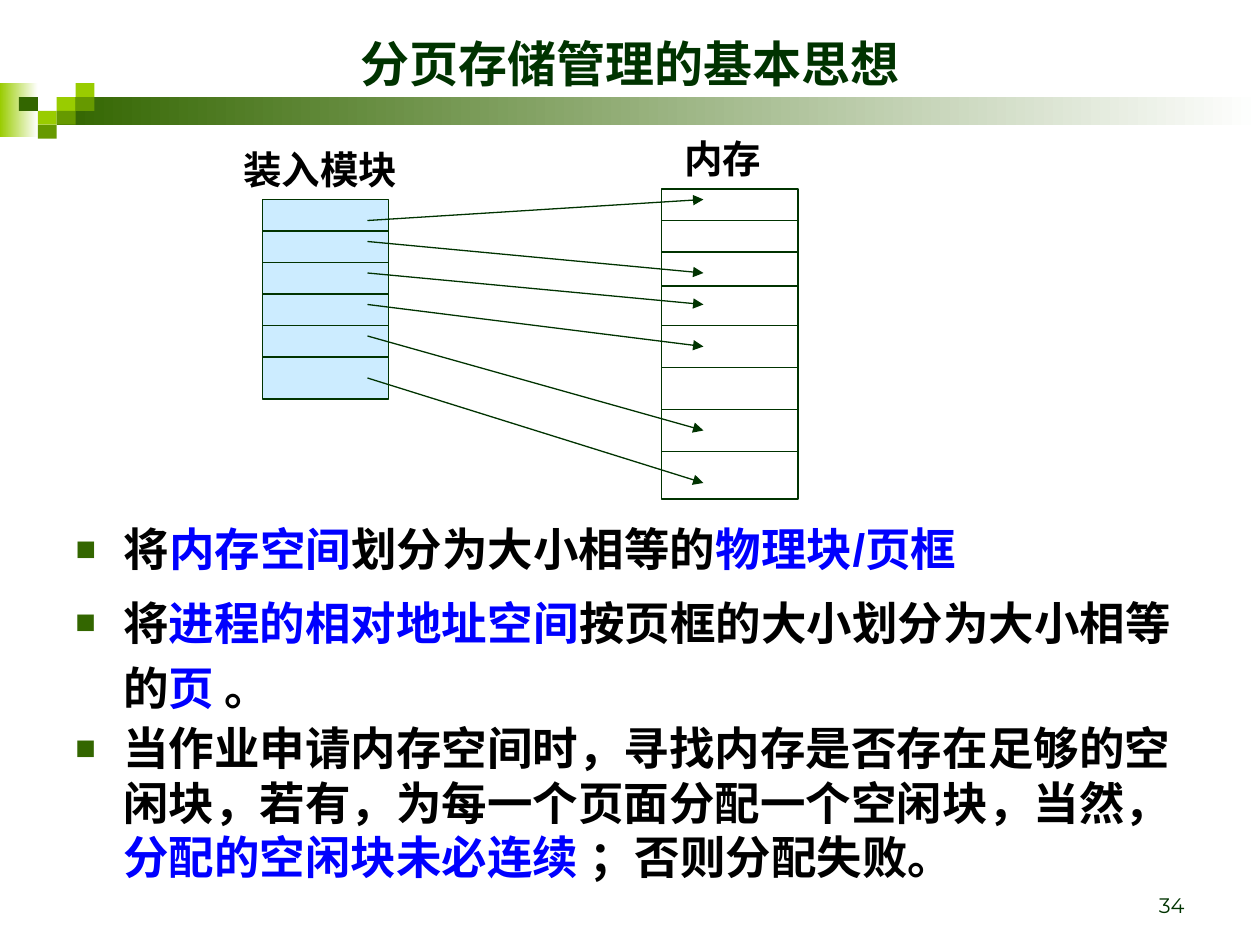
from lxml.etree import SubElement
from pptx import Presentation
from pptx.dml.color import RGBColor
from pptx.enum.shapes import MSO_CONNECTOR, MSO_SHAPE
from pptx.enum.text import MSO_ANCHOR, MSO_AUTO_SIZE, PP_ALIGN
from pptx.oxml.ns import qn
from pptx.util import Inches, Pt

COLORS = {name: RGBColor.from_string(value) for name, value in {
    "ink": "003300", "text": "000000", "key": "0000FF", "page": "CCECFF",
    "dark": "336600", "mid": "669900", "lime": "99CC00", "white": "FFFFFF",
}.items()}

deck = Presentation()
deck.slide_width, deck.slide_height = Inches(10), Inches(7.5)
COLUMN, ROW = deck.slide_width / 120, deck.slide_height / 90
TILE_WIDTH, TILE_HEIGHT, TILE_TOP = Inches(0.15), Inches(0.11), Inches(0.66)
page = deck.slides.add_slide(deck.slide_layouts[1])
title, body = page.placeholders


def area(left, top, width, height):
    return [int(value) for value in (left * COLUMN, top * ROW, width * COLUMN, height * ROW)]


def add_line(start, end, arrow=False):
    line = page.shapes.add_connector(
        MSO_CONNECTOR.STRAIGHT,
        int(start[0] * COLUMN), int(start[1] * ROW), int(end[0] * COLUMN), int(end[1] * ROW))
    line.line.color.rgb = COLORS["ink"]
    line.line.width = Pt(0.75)
    if arrow:
        SubElement(line.line._get_or_add_ln(), qn("a:tailEnd"), type="triangle")
    SubElement(line._element.spPr, qn("a:effectLst"))


tiles = [
    (0, 0, 2, 3.9, ("lime", "white")), (3, 1, 63.67, 2, ("dark", "white")),
    (3, 1, 1, 1, ("lime",)), (4, 0, 1, 1, ("lime",)), (4, 1, 1, 1, ("mid",)),
    (2, 2, 1, 1, ("lime",)), (1, 1, 1, 1, ("dark",)), (3, 2, 1, 1, ("mid",)),
    (2, 3, 1, 1, ("mid",)),
]
for left, top, width, height, fills in tiles:
    tile = page.shapes.add_shape(
        MSO_SHAPE.RECTANGLE, int(left * TILE_WIDTH), int(TILE_TOP + top * TILE_HEIGHT),
        int(width * TILE_WIDTH), int(height * TILE_HEIGHT))
    tile.shadow.inherit = False
    tile.line.fill.background()
    if len(fills) == 2:
        tile.fill.gradient()
        tile.fill.gradient_angle = 0
        for stop, name in zip(tile.fill.gradient_stops, fills):
            stop.color.rgb = COLORS[name]
    else:
        tile.fill.solid()
        tile.fill.fore_color.rgb = COLORS[fills[0]]

stacks = [
    ((25, 19, 12, 19), "page", (22, 25, 28, 31, 34)),
    ((63, 18, 13, 29.5), None, (21, 24, 27.25, 31, 35, 39, 43)),
]
for (left, top, width, height), fill, dividers in stacks:
    stack = page.shapes.add_shape(MSO_SHAPE.RECTANGLE, *area(left, top, width, height))
    stack.shadow.inherit = False
    stack.line.color.rgb = COLORS["ink"]
    stack.line.width = Pt(1)
    if fill:
        stack.fill.solid()
        stack.fill.fore_color.rgb = COLORS[fill]
    else:
        stack.fill.background()
    for divider in dividers:
        add_line((left, divider), (left + width, divider))

for start, end in [(21, 19), (23, 26), (26, 29), (29, 33), (32, 41), (36, 46)]:
    add_line((35, start), (67, end), arrow=True)

number = page.shapes.add_textbox(*area(86, 82, 28, 6))
module_label = page.shapes.add_textbox(*area(22, 13.3, 17, 5.7))
memory_label = page.shapes.add_textbox(*area(64, 12.3, 9.75, 5.7))
title.left, title.top, title.width, title.height = area(6, 2, 108, 8)
labels = [
    (title, "分页存储管理的基本思想", 28, "Arial", "ink", PP_ALIGN.CENTER, MSO_ANCHOR.MIDDLE, True),
    (number, "34", 12, "Montserrat", "ink", PP_ALIGN.RIGHT, MSO_ANCHOR.BOTTOM, True),
    (module_label, "装入模块", 22, "Arial", "text", PP_ALIGN.LEFT, MSO_ANCHOR.TOP, False),
    (memory_label, "内存", 22, "Arial", "text", PP_ALIGN.LEFT, MSO_ANCHOR.TOP, False),
]
for box, text, size, font, color, align, anchor, wrap in labels:
    frame = box.text_frame
    frame.auto_size = MSO_AUTO_SIZE.NONE
    frame.word_wrap = wrap
    frame.vertical_anchor = anchor
    frame.text = text
    para = frame.paragraphs[0]
    para.alignment = align
    para.font.name, para.font.size = font, Pt(size)
    para.font.bold = box is not number
    para.font.color.rgb = COLORS[color]

body.left, body.top, body.width, body.height = area(6, 49, 111, 8)
points = [
    (body, 1, [("将", "text"), ("内存空间", "key"), ("划分为大小相等的", "text"),
               ("物理块/页框", "key")]),
    (page.shapes.add_textbox(*area(6, 55, 110, 12)), 1.2,
     [("将", "text"), ("进程的相对地址空间", "key"), ("按页框的大小划分为大小相等的", "text"),
      ("页", "key"), (" 。", "text")]),
    (page.shapes.add_textbox(*area(6, 68, 108, 22)), 1,
     [("当作业申请内存空间时，寻找内存是否存在足够的空闲块，若有，为每一个页面分配一个空闲块，当然，", "text"),
      ("分配的空闲块未必连续", "key"), (" ；否则分配失败。", "text")]),
]
for box, spacing, spans in points:
    frame = box.text_frame
    frame.auto_size = MSO_AUTO_SIZE.NONE
    frame.word_wrap = True
    para = frame.paragraphs[0]
    para.line_spacing = spacing
    para.space_before = Pt(0)
    properties = para._p.get_or_add_pPr()
    properties.set("marL", str(Inches(0.38)))
    properties.set("indent", str(-Inches(0.38)))
    bullet_color = SubElement(properties, qn("a:buClr"))
    SubElement(bullet_color, qn("a:srgbClr"), val=str(COLORS["dark"]))
    SubElement(properties, qn("a:buSzPct"), val="75000")
    SubElement(properties, qn("a:buFont"), typeface="Arial")
    SubElement(properties, qn("a:buChar"), char="■")
    para.font.name, para.font.size, para.font.bold = "Arial", Pt(26), True
    for text, color in spans:
        span = para.add_run()
        span.text = text
        span.font.color.rgb = COLORS[color]

deck.save("out.pptx")
